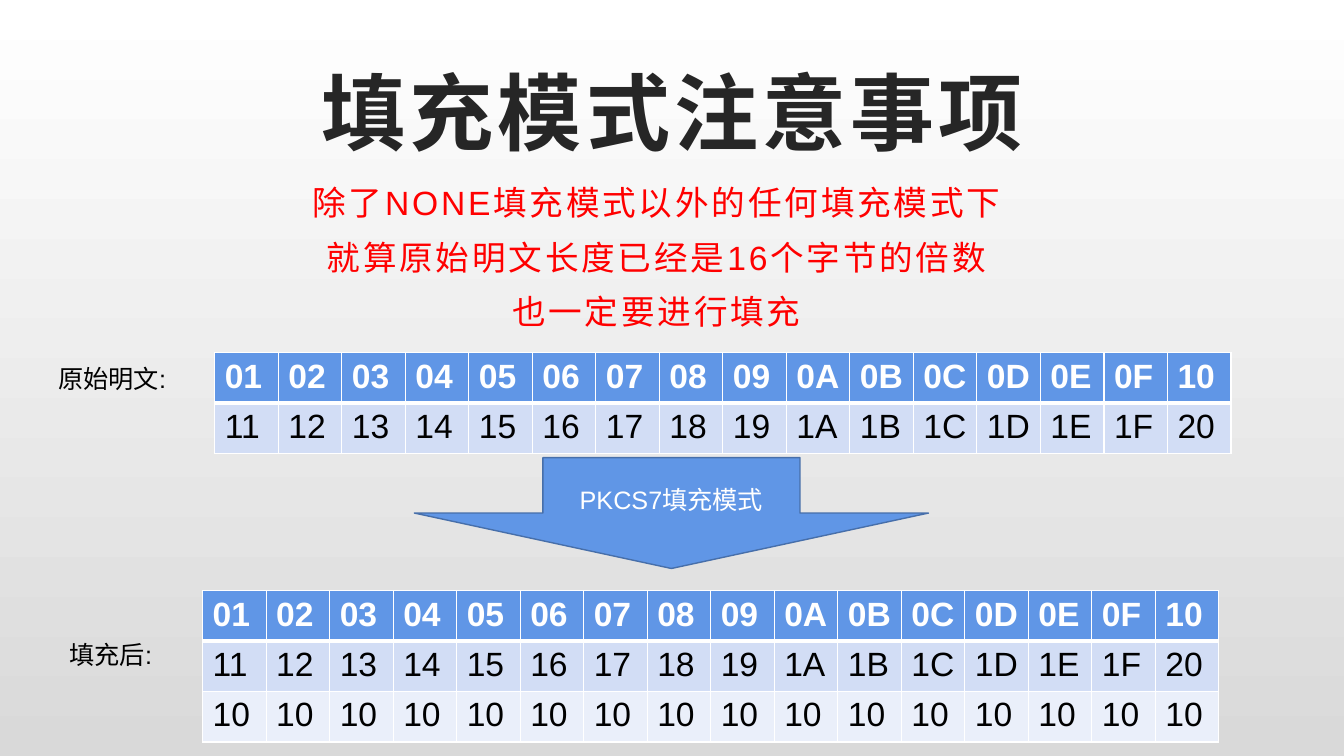
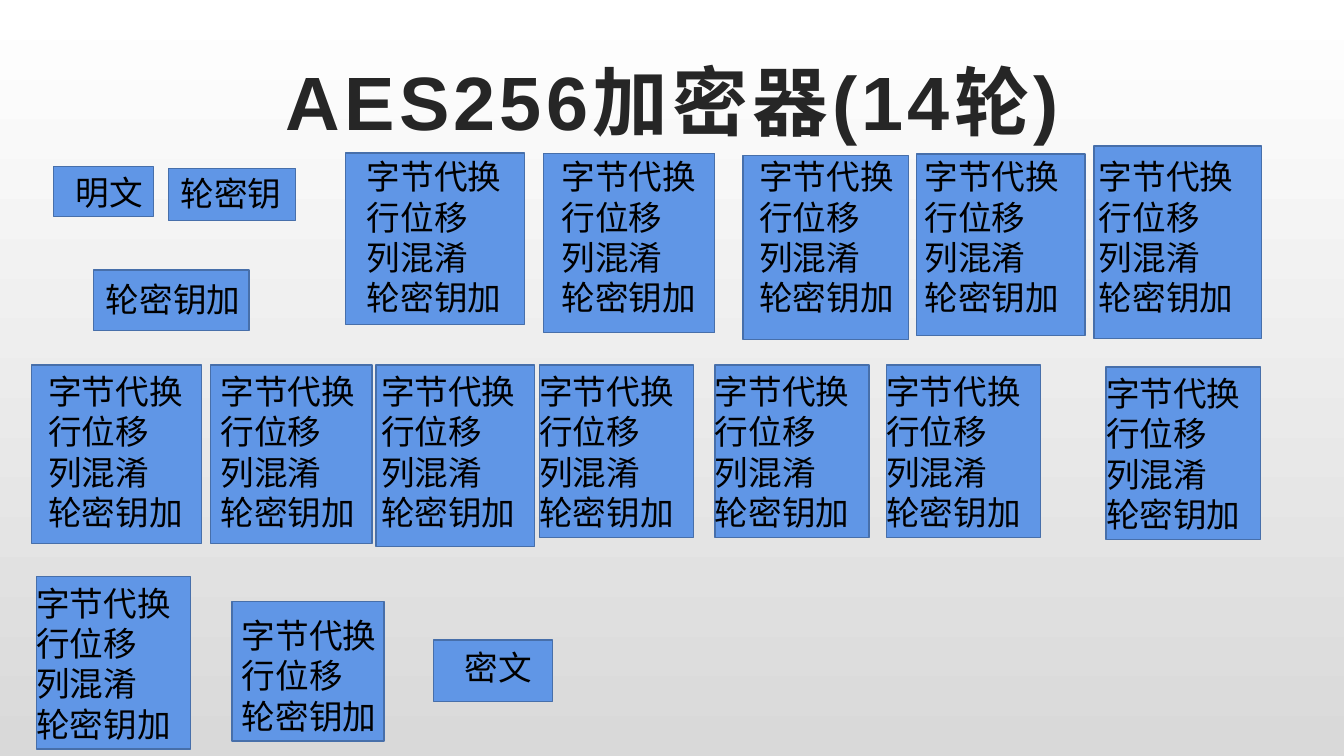
from dataclasses import dataclass

from pptx import Presentation
from pptx.dml.color import RGBColor
from pptx.enum.shapes import MSO_SHAPE as Preset
from pptx.enum.text import MSO_ANCHOR as Anchor, PP_ALIGN as Align
from pptx.oxml import parse_xml
from pptx.oxml.ns import nsdecls
from pptx.util import Inches, Pt


@dataclass(frozen=True)
class Theme:
    font: str = "Arial"
    accent: str = "6096E6"
    outline: str = "476FAA"
    title: str = "262626"
    warning: str = "FF0000"
    black: str = "000000"
    white: str = "FFFFFF"
    backdrop_end: str = "D9D9D9"
    bands: tuple = ("D2DDF5", "EAEFFA")
    title_size: int = 60
    long_title_size: int = 54
    body_size: int = 24
    label_size: int = 18


@dataclass(frozen=True)
class Box:
    left: float
    top: float
    width: float
    height: float

    def lengths(self):
        return [Inches(n) for n in (self.left, self.top, self.width, self.height)]


THEME = Theme()
ROUND_STEPS = ("字节代换", "行位移", "列混淆", "轮密钥加")
FINAL_STEPS = ("字节代换", "行位移", "轮密钥加")


def rgb(value):
    return RGBColor.from_string(value)


def write(frame, lines, size, color, bold=False, align=Align.LEFT, tracking=0, space_after=0):
    """Fill a text frame, one paragraph a line; tracking and space_after are in points."""
    frame.word_wrap = True
    for index, line in enumerate(lines):
        paragraph = frame.add_paragraph() if index else frame.paragraphs[0]
        paragraph.alignment = align
        if space_after:
            paragraph.space_after = Pt(space_after)
        run = paragraph.add_run()
        run.text = line
        run.font.name = THEME.font
        run.font.size = Pt(size)
        run.font.bold = bold
        run.font.color.rgb = rgb(color)
        if tracking:
            run._r.get_or_add_rPr().set("spc", str(tracking * 100))


def add_text(slide, box, lines, size, color, anchor=Anchor.TOP, **style):
    frame = slide.shapes.add_textbox(*box.lengths()).text_frame
    frame.vertical_anchor = anchor
    write(frame, lines, size, color, **style)


def add_title(slide, box, text, size):
    add_text(slide, box, [text], size, THEME.title, Anchor.BOTTOM,
             bold=True, align=Align.CENTER, tracking=3)


def add_block(slide, preset, box):
    shape = slide.shapes.add_shape(preset, *box.lengths())
    shape.shadow.inherit = False
    shape.fill.solid()
    shape.fill.fore_color.rgb = rgb(THEME.accent)
    shape.line.color.rgb = rgb(THEME.outline)
    shape.line.width = Pt(1)
    return shape


def add_arrow(slide, box, text):
    frame = add_block(slide, Preset.DOWN_ARROW, box).text_frame
    frame.vertical_anchor = Anchor.MIDDLE
    write(frame, [text], THEME.label_size, THEME.white, align=Align.CENTER)


def add_card(slide, box, text_left, text_top, lines):
    """Draw a card whose text starts at the given place on the slide."""
    frame = add_block(slide, Preset.RECTANGLE, box).text_frame
    frame.vertical_anchor = Anchor.TOP
    frame.margin_left = Inches(round(text_left - box.left, 2))
    frame.margin_top = Inches(round(text_top - box.top, 2))
    frame.margin_right = frame.margin_bottom = 0
    write(frame, lines, THEME.body_size, THEME.black)


def set_borders(cell, top, bottom):
    properties = cell._tc.get_or_add_tcPr()
    widths = {"lnL": 1, "lnR": 1, "lnT": top, "lnB": bottom}
    for index, (side, width) in enumerate(widths.items()):
        properties.insert(index, parse_xml(
            f'<a:{side} {nsdecls("a")} w="{Pt(width)}"><a:solidFill>'
            f'<a:srgbClr val="{THEME.white}"/></a:solidFill></a:{side}>'))


def add_byte_table(slide, box, rows):
    column_count = len(rows[0])
    table = slide.shapes.add_table(len(rows), column_count, *box.lengths()).table
    for column in table.columns:
        column.width = Inches(box.width / column_count)
    for row_index, values in enumerate(rows):
        table.rows[row_index].height = Inches(box.height / len(rows))
        header = row_index == 0
        fill = THEME.accent if header else THEME.bands[(row_index - 1) % 2]
        for column_index, value in enumerate(values):
            cell = table.cell(row_index, column_index)
            cell.margin_right = Inches(0.05)
            cell.fill.solid()
            cell.fill.fore_color.rgb = rgb(fill)
            set_borders(cell, top=3 if row_index == 1 else 1, bottom=3 if header else 1)
            write(cell.text_frame, [value], THEME.body_size,
                  THEME.white if header else THEME.black, bold=header)


def hex_bytes(first, count=16):
    return [f"{value:02X}" for value in range(first, first + count)]


def build_padding_slide(slide):
    add_title(slide, Box(1.31, 0.35, 10.72, 1.3), "填充模式注意事项", THEME.title_size)
    add_text(slide, Box(1.15, 1.76, 10.72, 1.61),
             ["除了NONE填充模式以外的任何填充模式下",
              "就算原始明文长度已经是16个字节的倍数",
              "也一定要进行填充"],
             THEME.body_size, THEME.warning, align=Align.CENTER, tracking=2, space_after=10)

    plaintext = [hex_bytes(0x01), hex_bytes(0x11)]
    padding = ["10"] * 16
    add_byte_table(slide, Box(2.13, 3.5, 10.08, 0.98), plaintext)
    add_byte_table(slide, Box(2.01, 5.86, 10.08, 1.5), plaintext + [padding])
    add_text(slide, Box(0.48, 3.56, 1.53, 0.4), ["原始明文:"], THEME.label_size, THEME.black)
    add_text(slide, Box(0.59, 6.29, 1.4, 0.4), ["填充后:"], THEME.label_size, THEME.black)
    add_arrow(slide, Box(4.11, 4.54, 5.1, 1.1), "PKCS7填充模式")


def build_rounds_slide(slide):
    add_title(slide, Box(1.31, 0.41, 10.72, 1.08), "AES256加密器(14轮)", THEME.long_title_size)

    add_card(slide, Box(0.53, 1.65, 0.99, 0.5), 0.75, 1.71, ["明文"])
    add_card(slide, Box(1.67, 1.67, 1.26, 0.52), 1.79, 1.71, ["轮密钥"])
    add_card(slide, Box(0.93, 2.68, 1.54, 0.6), 1.05, 2.77, ["轮密钥加"])

    first_row = [
        (Box(3.43, 1.52, 1.77, 1.7), 3.64),
        (Box(5.39, 1.52, 1.7, 1.78), 5.57),
        (Box(7.37, 1.54, 1.64, 1.83), 7.53),
        (Box(9.09, 1.53, 1.67, 1.8), 9.17),
        (Box(10.85, 1.45, 1.66, 1.91), 10.9),
    ]
    second_row = [
        (Box(0.31, 3.62, 1.69, 1.77), 0.48),
        (Box(2.09, 3.62, 1.6, 1.77), 2.19),
        (Box(3.73, 3.62, 1.57, 1.8), 3.78),
    ]
    for cards, text_top in ((first_row, 1.55), (second_row, 3.68)):
        for box, text_left in cards:
            add_card(slide, box, text_left, text_top, ROUND_STEPS)

    for left, top in ((5.35, 3.62), (7.09, 3.62), (8.79, 3.62), (10.97, 3.64), (0.36, 5.72)):
        add_card(slide, Box(left, top, 1.53, 1.71), left, top + 0.06, ROUND_STEPS)

    add_card(slide, Box(2.3, 5.97, 1.51, 1.38), 2.4, 6.1, FINAL_STEPS)
    add_card(slide, Box(4.3, 6.35, 1.18, 0.61), 4.61, 6.42, ["密文"])


def set_backdrop(master):
    fill = master.background.fill
    fill.gradient()
    fill.gradient_angle = 270
    for stop, color in zip(fill.gradient_stops, (THEME.white, THEME.backdrop_end)):
        stop.color.rgb = rgb(color)


def main():
    presentation = Presentation()
    presentation.slide_width = Inches(13.33)
    presentation.slide_height = Inches(7.5)
    set_backdrop(presentation.slide_master)
    blank_layout = presentation.slide_layouts[6]
    for build in (build_padding_slide, build_rounds_slide):
        build(presentation.slides.add_slide(blank_layout))
    presentation.save("out.pptx")


if __name__ == "__main__":
    main()
